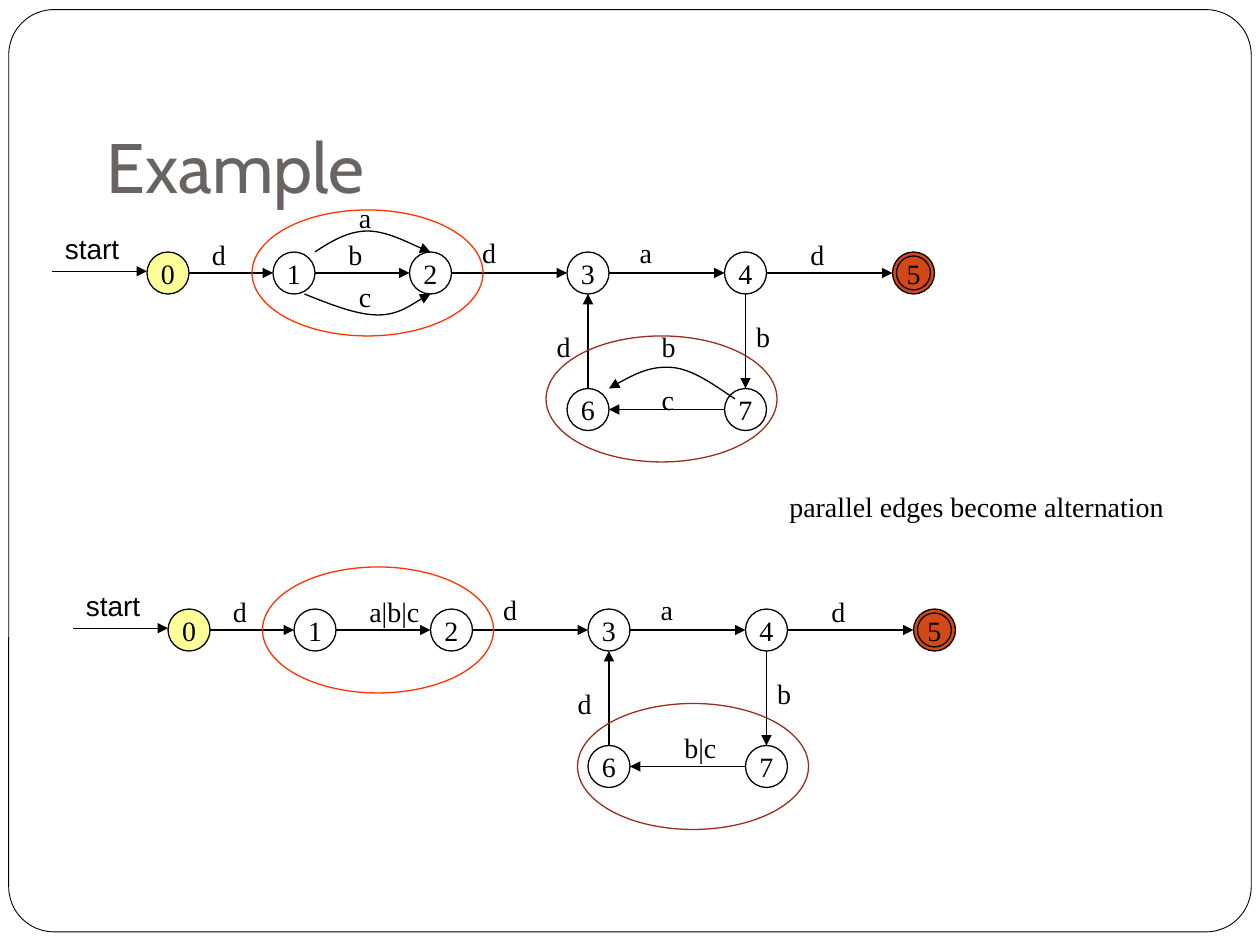
from dataclasses import dataclass
from math import hypot

from lxml.etree import SubElement
from pptx import Presentation
from pptx.dml.color import RGBColor
from pptx.enum.shapes import MSO_CONNECTOR as Connector, MSO_SHAPE as Preset
from pptx.enum.text import MSO_ANCHOR as Anchor, MSO_AUTO_SIZE as AutoSize, PP_ALIGN as Align
from pptx.oxml.ns import qn
from pptx.util import Pt


@dataclass(frozen=True)
class Theme:
    ink: str = "000000"
    paper: str = "FFFFFF"
    title: str = "696464"
    start: str = "FFFF99"
    final: str = "D34817"
    upper_ring: str = "FF3300"
    lower_ring: str = "9B2D1F"
    title_font: str = "Cabin"
    text_font: str = "Times New Roman"
    start_font: str = "Arial"
    title_size: float = 40
    text_size: float = 16
    frame_line: float = 0.5
    line: float = 0.75


RADIUS = 12
# State centres and edge labels of the first automaton
STATES = {"0": (96, 156), "1": (168, 156), "2": (246, 156), "3": (336, 156),
          "4": (426, 156), "5": (522, 156), "6": (336, 234), "7": (426, 234)}
EDGES = ["01", "12", "23", "34", "45", "47", "76", "63"]
LABELS = [("d", 114, 132), ("d", 268.5, 131), ("a", 358.5, 131),
          ("d", 456, 132), ("d", 311, 185), ("b", 425, 179)]


class Diagram:
    def __init__(self, slide, theme):
        self.slide = slide
        self.theme = theme
        self.dx = self.dy = 0

    def place(self, x, y):
        return Pt(x + self.dx), Pt(y + self.dy)

    def outline(self, shape, color, width=None):
        shape.line.color.rgb = RGBColor.from_string(color)
        shape.line.width = Pt(width or self.theme.line)

    def arrowhead(self, shape):
        line = shape._element.spPr.find(qn("a:ln"))
        SubElement(line, qn("a:tailEnd"), type="triangle")

    def set_text(self, shape, text, font=None, size=None, color=None):
        text_frame = shape.text_frame
        text_frame.text = text
        run_font = text_frame.paragraphs[0].runs[0].font
        run_font.name = font or self.theme.text_font
        run_font.size = Pt(size or self.theme.text_size)
        run_font.color.rgb = RGBColor.from_string(color or self.theme.ink)
        return text_frame

    def shape(self, preset, x, y, width, height, line, fill=None, line_width=None):
        shape = self.slide.shapes.add_shape(preset, *self.place(x, y), Pt(width), Pt(height))
        shape.shadow.inherit = False
        if fill:
            shape.fill.solid()
            shape.fill.fore_color.rgb = RGBColor.from_string(fill)
        else:
            shape.fill.background()
        self.outline(shape, line, line_width)
        return shape

    def frame(self):
        frame = self.shape(Preset.ROUNDED_RECTANGLE, 5, 5.5, 710, 527, self.theme.ink,
                           self.theme.paper, self.theme.frame_line)
        frame.adjustments[0] = 0.049

    def title(self, text):
        box = self.slide.shapes.add_textbox(Pt(54), Pt(36), Pt(612), Pt(90))
        text_frame = self.set_text(box, text, self.theme.title_font, self.theme.title_size,
                                   self.theme.title)
        text_frame.word_wrap = True
        text_frame.vertical_anchor = Anchor.BOTTOM
        text_frame.margin_bottom = Pt(7.2)

    def ring(self, x, y, color):
        self.shape(Preset.OVAL, x, y, 132, 72, color)

    def circle(self, center, radius, fill=None):
        x, y = center
        return self.shape(Preset.OVAL, x - radius, y - radius, 2 * radius, 2 * radius,
                          self.theme.ink, fill)

    def state(self, name, center, fill=None):
        text_frame = self.set_text(self.circle(center, RADIUS, fill), name)
        text_frame.word_wrap = False
        text_frame.vertical_anchor = Anchor.MIDDLE
        text_frame.paragraphs[0].alignment = Align.CENTER

    def label(self, text, x, y, width=None, height=26.6, font=None):
        if width is None:
            width = 14.4 + sum(3.2 if letter == "|" else 7.6 for letter in text)
        box = self.slide.shapes.add_textbox(*self.place(x, y), Pt(width), Pt(height))
        text_frame = self.set_text(box, text, font)
        text_frame.word_wrap = False
        text_frame.auto_size = AutoSize.SHAPE_TO_FIT_TEXT

    def arrow(self, begin, end):
        arrow = self.slide.shapes.add_connector(
            Connector.STRAIGHT, *self.place(*begin), *self.place(*end))
        self.outline(arrow, self.theme.ink)
        self.arrowhead(arrow)
        SubElement(arrow._element.spPr, qn("a:effectLst"))

    def edge(self, source, target):
        (x1, y1), (x2, y2) = STATES[source], STATES[target]
        length = hypot(x2 - x1, y2 - y1)
        step_x, step_y = RADIUS * (x2 - x1) / length, RADIUS * (y2 - y1) / length
        self.arrow((x1 + step_x, y1 + step_y), (x2 - step_x, y2 - step_y))

    def curve(self, points):
        """Draw Bézier segments: a start point, then three points for each segment."""
        start, *rest = [self.place(*point) for point in points]
        builder = self.slide.shapes.build_freeform(*start)
        builder.add_line_segments(rest, close=False)
        curve = builder.convert_to_shape()
        outline = curve._element.xpath(".//a:path")[0]
        segments = outline.findall(qn("a:lnTo"))
        for index in range(0, len(segments), 3):
            bezier = SubElement(outline, qn("a:cubicBezTo"))
            for segment in segments[index:index + 3]:
                bezier.append(segment[0])
                outline.remove(segment)
        curve.shadow.inherit = False
        curve.fill.background()
        self.outline(curve, self.theme.ink)
        self.arrowhead(curve)

    def automaton(self, dx, dy):
        self.dx, self.dy = dx, dy
        fills = {"0": self.theme.start, "5": self.theme.final}
        for name, center in STATES.items():
            self.state(name, center, fills.get(name))
        self.circle(STATES["5"], 9.7)
        for source, target in EDGES:
            self.edge(source, target)
        for label in LABELS:
            self.label(*label)
        self.arrow((30, 155), (84, 155))
        self.label("start", 30, 129, 49.7, 28.8, self.theme.start_font)


def main():
    presentation = Presentation()
    presentation.slide_width, presentation.slide_height = Pt(720), Pt(540)
    slide = presentation.slides.add_slide(presentation.slide_layouts[6])
    theme = Theme()
    diagram = Diagram(slide, theme)
    diagram.frame()
    diagram.title("Example")

    # Automaton with parallel edges
    diagram.automaton(0, 0)
    diagram.ring(144, 120, theme.upper_ring)
    diagram.ring(312, 192, theme.lower_ring)
    for points in (
        [(180, 144), (189, 138), (199, 132), (210, 132), (221, 132), (240, 142), (246, 144)],
        [(174, 168), (189, 174), (204, 180), (216, 180), (228, 180), (241, 170), (246, 168)],
        [(420, 228), (408, 220), (396, 211), (384, 210), (372, 209), (360, 215), (348, 222)],
    ):
        diagram.curve(points)
    for label in (("a", 198, 111), ("b", 192, 132), ("c", 198, 156),
                  ("b", 371, 185), ("c", 371, 215)):
        diagram.label(*label)
    diagram.label("parallel edges become alternation", 444, 276, 229.7)

    # Automaton with alternations
    diagram.automaton(12, 204)
    diagram.ring(138, 120, theme.upper_ring)
    diagram.ring(318, 198, theme.lower_ring)
    diagram.label("a|b|c", 192, 132)
    diagram.label("b|c", 372, 210)

    presentation.save("out.pptx")


if __name__ == "__main__":
    main()
